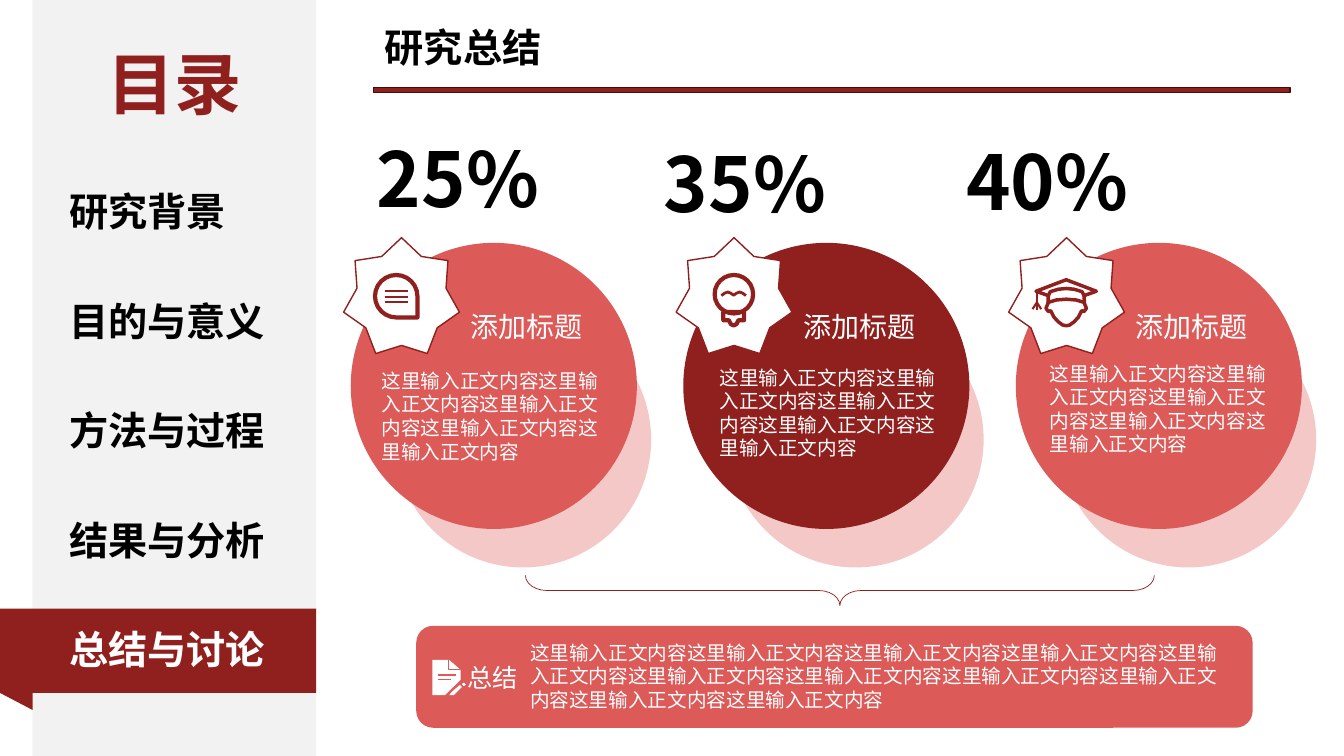
from pptx import Presentation
from pptx.dml.color import RGBColor
from pptx.enum.shapes import MSO_CONNECTOR, MSO_SHAPE
from pptx.enum.text import PP_ALIGN
from pptx.oxml.ns import qn
from pptx.util import Cm, Pt
from lxml import etree

FONT = "Noto Sans CJK SC"
BLACK = RGBColor(0x00, 0x00, 0x00)
WHITE = RGBColor(0xFF, 0xFF, 0xFF)
GREY = RGBColor(0xF2, 0xF2, 0xF2)
DARK_RED = RGBColor(0x90, 0x20, 0x1E)
EDGE_RED = RGBColor(0x3F, 0x0E, 0x0D)
RED = RGBColor(0xDC, 0x5A, 0x58)
PINK = RGBColor(0xF3, 0xC8, 0xC7)

CHAPTERS = ["研究背景", "目的与意义", "方法与过程", "结果与分析", "总结与讨论"]
FILLER = "这里输入正文内容"


def paint(shape, fill=None, line=None, weight=1):
    shape.shadow.inherit = False
    if fill is None:
        shape.fill.background()
    else:
        shape.fill.solid()
        shape.fill.fore_color.rgb = fill
    if line is None:
        shape.line.fill.background()
    else:
        shape.line.color.rgb = line
        shape.line.width = Pt(weight)
    return shape


def add_preset(page, kind, box, fill=None, line=None, weight=1):
    shape = page.shapes.add_shape(kind, *[Cm(length) for length in box])
    return paint(shape, fill, line, weight)


def add_text(page, text, box, size, color, bold=False, align=None, wrap=True):
    frame = page.shapes.add_textbox(*[Cm(length) for length in box]).text_frame
    frame.word_wrap = wrap
    para = frame.paragraphs[0]
    para.text = text
    para.alignment = align
    para.font.size = Pt(size)
    para.font.bold = bold
    para.font.color.rgb = color
    para.font.name = FONT
    span = para.runs[0]
    etree.SubElement(span._r.get_or_add_rPr(), qn("a:ea"), typeface=FONT)


def add_outline(page, left, top, points, fill=None, line=None, weight=1, close=True):
    """Draw a polygon or open path whose points are offsets in cm from left, top."""
    corners = [(Cm(left + x), Cm(top + y)) for x, y in points]
    builder = page.shapes.build_freeform(*corners[0])
    builder.add_line_segments(corners[1:], close=close)
    return paint(builder.convert_to_shape(), fill, line, weight)


def add_stroke(page, left, top, start, end, color, weight):
    connector = page.shapes.add_connector(
        MSO_CONNECTOR.STRAIGHT,
        Cm(left + start[0]), Cm(top + start[1]), Cm(left + end[0]), Cm(top + end[1]))
    connector.line.color.rgb = color
    connector.line.width = Pt(weight)
    etree.SubElement(connector._element.spPr, qn("a:effectLst"))


def mirrored(half, axis):
    """Complete a left-to-axis path with its mirror image."""
    return half + [(2 * axis - x, y) for x, y in reversed(half[:-1])]


def draw_chat_icon(page, left, top):
    bubble = add_preset(page, MSO_SHAPE.TEAR, (left + 0.79, top + 0.94, 1.07, 1.07),
                        line=DARK_RED, weight=3)
    bubble.rotation = 90
    for row in range(3):
        y = 1.35 + 0.14 * row
        add_stroke(page, left, top, (1.03, y), (1.63, y), DARK_RED, 1.5)


def draw_bulb_icon(page, left, top):
    axis = 1.45
    add_preset(page, MSO_SHAPE.OVAL, (left + 0.97, top + 0.94, 0.97, 0.97),
               line=DARK_RED, weight=3)
    socket = [(1.19, 1.87), (1.19, 2.08), (1.33, 2.08), (1.38, 2.18), (axis, 2.21)]
    add_outline(page, left, top, mirrored(socket, axis), line=DARK_RED, weight=3)
    filament = [(1.14, 1.46), (1.22, 1.4), (1.3, 1.37), (1.38, 1.4), (axis, 1.45)]
    add_outline(page, left, top, mirrored(filament, axis),
                line=DARK_RED, weight=2, close=False)


def draw_graduate_icon(page, left, top):
    axis = 1.45
    board = mirrored([(axis, 1.28), (1.25, 1.3), (1.05, 1.36), (1, 1.46),
                      (0.69, 1.35), (axis, 1.06)], axis)
    face = mirrored([(1, 1.46), (0.99, 1.66), (0.94, 1.78), (1, 1.86), (1.06, 1.84),
                     (1.14, 2), (1.25, 2.12), (1.36, 2.2), (axis, 2.22)], axis)
    hairline = mirrored([(1, 1.63), (1.2, 1.57), (axis, 1.55)], axis)
    add_outline(page, left, top, board, line=DARK_RED, weight=2.5)
    for path in (face, hairline):
        add_outline(page, left, top, path, line=DARK_RED, weight=2.5, close=False)
    knot = (0.71, 1.63)
    for end in [(0.71, 1.35), (0.6, 1.8), (0.71, 1.83), (0.82, 1.8)]:
        add_stroke(page, left, top, knot, end, DARK_RED, 1.5)


def draw_note_icon(page, left, top):
    sheet = [(0, 0), (0.42, 0), (0.71, 0.25), (0.71, 0.5), (0.31, 0.89), (0, 0.89)]
    pencil = [(0.42, 0.89), (0.48, 0.81), (0.69, 0.63), (0.74, 0.68), (0.53, 0.89)]
    eraser = [(0.74, 0.61), (0.79, 0.57), (0.84, 0.62), (0.79, 0.66)]
    for part in (sheet, pencil, eraser):
        add_outline(page, left, top, part, fill=WHITE)
    add_outline(page, left, top, [(0.41, 0), (0.41, 0.25), (0.71, 0.25)],
                line=RED, weight=0.75, close=False)
    for y, end in [(0.38, 0.58), (0.49, 0.46)]:
        add_stroke(page, left, top, (0.14, y), (end, y), RED, 1)


def draw_sidebar(page, left, top, width, height):
    add_preset(page, MSO_SHAPE.RECTANGLE, (left, top, width, height), GREY)
    add_text(page, "目录", (left + 1.11, top + 0.94, 4.93, 2.31), 48, DARK_RED,
             bold=True, align=PP_ALIGN.CENTER)
    band_top, band_height = top + 15.34, 2.12
    add_preset(page, MSO_SHAPE.RECTANGLE, (0, band_top, left + width, band_height), DARK_RED)
    fold = add_preset(page, MSO_SHAPE.RIGHT_TRIANGLE,
                      (0, band_top + band_height, left, 0.43), DARK_RED)
    fold.rotation = 180
    for row, chapter in enumerate(CHAPTERS):
        color = WHITE if chapter == CHAPTERS[-1] else BLACK
        add_text(page, chapter, (left + 0.68, top + 4.6 + 2.76 * row, 5.61, 1.45),
                 28, color, bold=True)


def draw_header(page, left, top, width):
    add_text(page, "研究总结", (left + 0.03, top, 12.52, 1.45), 28, BLACK, bold=True)
    add_preset(page, MSO_SHAPE.RECTANGLE, (left, top + 1.75, width, 0.13),
               DARK_RED, EDGE_RED)


def draw_card(page, left, top, size, color, percent, percent_at, body_at, draw_icon):
    add_preset(page, MSO_SHAPE.OVAL, (left + 1.12, top + 1.73, 6.45, 6.45), PINK)
    add_preset(page, MSO_SHAPE.OVAL, (left, top, size, size), color)
    star_left, star_top = left - 0.18, top - 0.13
    add_preset(page, MSO_SHAPE.STAR_7_POINT, (star_left, star_top, 2.92, 2.92),
               WHITE, DARK_RED).adjustments[0] = 0.384
    draw_icon(page, star_left, star_top)
    add_text(page, "添加标题", (left + 2.77, top + 1.55, 3.66, 1.12), 20, WHITE,
             align=PP_ALIGN.JUSTIFY)
    add_text(page, FILLER * 5, (left + body_at[0], top + body_at[1], 6.05, 3.2), 14, WHITE)
    add_text(page, percent, (left + percent_at[0], top + percent_at[1], 4.67, 2.57),
             54, BLACK, bold=True, wrap=False)


def draw_summary(page, left, top, width, height):
    add_preset(page, MSO_SHAPE.ROUNDED_RECTANGLE, (left, top, width, height), RED)
    draw_note_icon(page, left + 0.41, top + 0.86)
    add_text(page, "总结", (left + 1.04, top + 0.79, 1.96, 1.07), 18, WHITE)
    add_text(page, FILLER * 11, (left + 2.62, top + 0.25, 18.21, 2.06), 14, WHITE)


def draw_brace(page, left, top, width, height):
    """Fill the box with a right brace turned to point downwards."""
    box = (left + (width - height) / 2, top + (height - width) / 2, height, width)
    brace = add_preset(page, MSO_SHAPE.RIGHT_BRACE, box, line=DARK_RED, weight=0.5)
    brace.adjustments[0] = 0.707
    brace.rotation = 90


def main():
    deck = Presentation()
    deck.slide_width, deck.slide_height = Cm(33.87), Cm(19.05)
    page = deck.slides.add_slide(deck.slide_layouts[6])
    draw_sidebar(page, 0.82, 0, 7.15, 19.05)
    draw_header(page, 9.42, 0.46, 23.09)
    cards = [
        (RED, "25%", (0.41, -2.92), (0.53, 3.05), draw_chat_icon),
        (DARK_RED, "35%", (-0.74, -2.79), (0.66, 2.97), draw_bulb_icon),
        (RED, "40%", (-1.5, -2.84), (0.61, 2.87), draw_graduate_icon),
    ]
    for column, card in enumerate(cards):
        draw_card(page, 8.84 + 8.38 * column, 6.12, 7.21, *card)
    draw_brace(page, 13.24, 14.5, 15.85, 0.76)
    draw_summary(page, 10.49, 15.77, 21.08, 2.57)
    deck.save("out.pptx")


if __name__ == "__main__":
    main()
